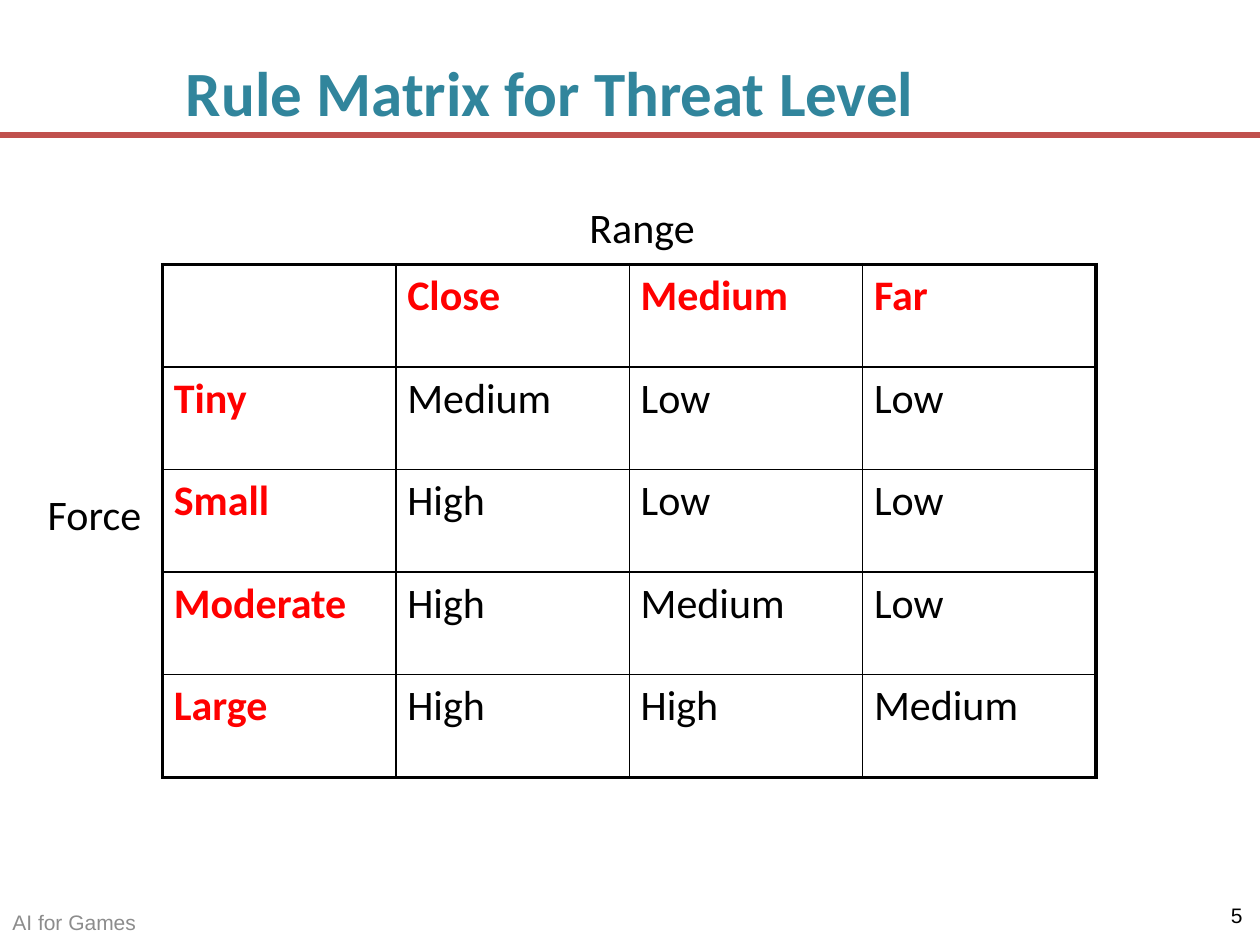
from dataclasses import dataclass

from lxml import etree
from pptx import Presentation
from pptx import util as u
from pptx.dml import color
from pptx.enum import shapes, text
from pptx.oxml import ns


@dataclass(frozen=True)
class Theme:
    heading: str = "31859C"
    rule: str = "C0504D"
    label: str = "FF0000"
    body: str = "000000"
    footer: str = "8C8C8C"
    font: str = "Calibri"
    footer_font: str = "Arial"
    title_size: int = 36
    body_size: int = 24
    footer_size: int = 12
    inner_line: float = 1
    outer_line: float = 2.25


THEME = Theme()


@dataclass(frozen=True)
class Caption:
    words: str
    left: float
    top: float
    width: float
    height: float
    size: int = THEME.body_size
    ink: str = THEME.body
    font: str = THEME.font
    bold: bool = False
    wrap: bool = True
    align: text.PP_ALIGN = text.PP_ALIGN.LEFT
    anchor: text.MSO_ANCHOR = text.MSO_ANCHOR.MIDDLE


def add_words(paragraph, words: str, size: int, ink: str, font: str, bold: bool) -> None:
    run = paragraph.add_run()
    run.text = words
    run.font.name = font
    run.font.size = u.Pt(size)
    run.font.bold = bold
    run.font.color.rgb = color.RGBColor.from_string(ink)


def add_caption(slide, item: Caption) -> None:
    box = slide.shapes.add_textbox(u.Inches(item.left), u.Inches(item.top),
                                   u.Inches(item.width), u.Inches(item.height))
    frame = box.text_frame
    frame.word_wrap = item.wrap
    frame.vertical_anchor = item.anchor
    paragraph = frame.paragraphs[0]
    paragraph.alignment = item.align
    add_words(paragraph, item.words, item.size, item.ink, item.font, item.bold)


def set_borders(cell, widths: dict[str, float]) -> None:
    properties = cell._tc.get_or_add_tcPr()
    for position, (side, width) in enumerate(widths.items()):
        line = etree.Element(ns.qn(f"a:ln{side}"), w=str(u.Pt(width)))
        fill = etree.SubElement(line, ns.qn("a:solidFill"))
        etree.SubElement(fill, ns.qn("a:srgbClr"), val=THEME.body)
        properties.insert(position, line)


def add_matrix(slide, levels: list[list[str]]) -> None:
    row_count, column_count = len(levels), len(levels[0])
    matrix = slide.shapes.add_table(row_count, column_count, u.Inches(1.29), u.Inches(2.1),
                                    u.Inches(7.41), u.Inches(4.07)).table
    matrix.first_row = matrix.horz_banding = False
    for r, row in enumerate(levels):
        for c, level in enumerate(row):
            cell = matrix.cell(r, c)
            cell.fill.background()
            cell.margin_left = cell.margin_right = u.Inches(0.09)
            is_label = r == 0 or c == 0
            if level:
                add_words(cell.text_frame.paragraphs[0], level, THEME.body_size,
                          THEME.label if is_label else THEME.body, THEME.font, is_label)
            # Heavy frame around the matrix, thin lines within
            on_edge = {"L": c == 0, "R": c == column_count - 1,
                       "T": r == 0, "B": r == row_count - 1}
            set_borders(cell, {side: THEME.outer_line if edge else THEME.inner_line
                               for side, edge in on_edge.items()})


RULES = [
    ["", "Close", "Medium", "Far"],
    ["Tiny", "Medium", "Low", "Low"],
    ["Small", "High", "Low", "Low"],
    ["Moderate", "High", "Medium", "Low"],
    ["Large", "High", "High", "Medium"],
]

CAPTIONS = [
    Caption("AI for Games", 0, 7.13, 4.61, 0.37, THEME.footer_size, THEME.footer,
            THEME.footer_font),
    Caption("Rule Matrix for Threat Level", 0.5, 0.3, 7.73, 0.85, THEME.title_size,
            THEME.heading, bold=True, align=text.PP_ALIGN.CENTER),
    Caption("Range", 4.58, 1.55, 1.05, 0.5, wrap=False, anchor=text.MSO_ANCHOR.TOP),
    Caption("Force", 0.28, 3.83, 0.95, 0.5, wrap=False, anchor=text.MSO_ANCHOR.TOP),
    Caption("5", 7.63, 7.06, 2.33, 0.4, THEME.footer_size, font=THEME.footer_font,
            align=text.PP_ALIGN.RIGHT),
]

deck = Presentation()
deck.slide_width, deck.slide_height = u.Inches(10), u.Inches(7.5)
slide = deck.slides.add_slide(deck.slide_layouts[6])

# Rule under the title
title_rule = slide.shapes.add_connector(shapes.MSO_CONNECTOR.STRAIGHT, u.Inches(0),
                                        u.Inches(1.07), u.Inches(10), u.Inches(1.07))
title_rule.line.color.rgb = color.RGBColor.from_string(THEME.rule)
title_rule.line.width = u.Pt(3.5)
etree.SubElement(title_rule._element.spPr, ns.qn("a:effectLst"))

# Threat levels by force and range
add_matrix(slide, RULES)

# Title, axis names and footer
for caption in CAPTIONS:
    add_caption(slide, caption)

deck.save("out.pptx")
